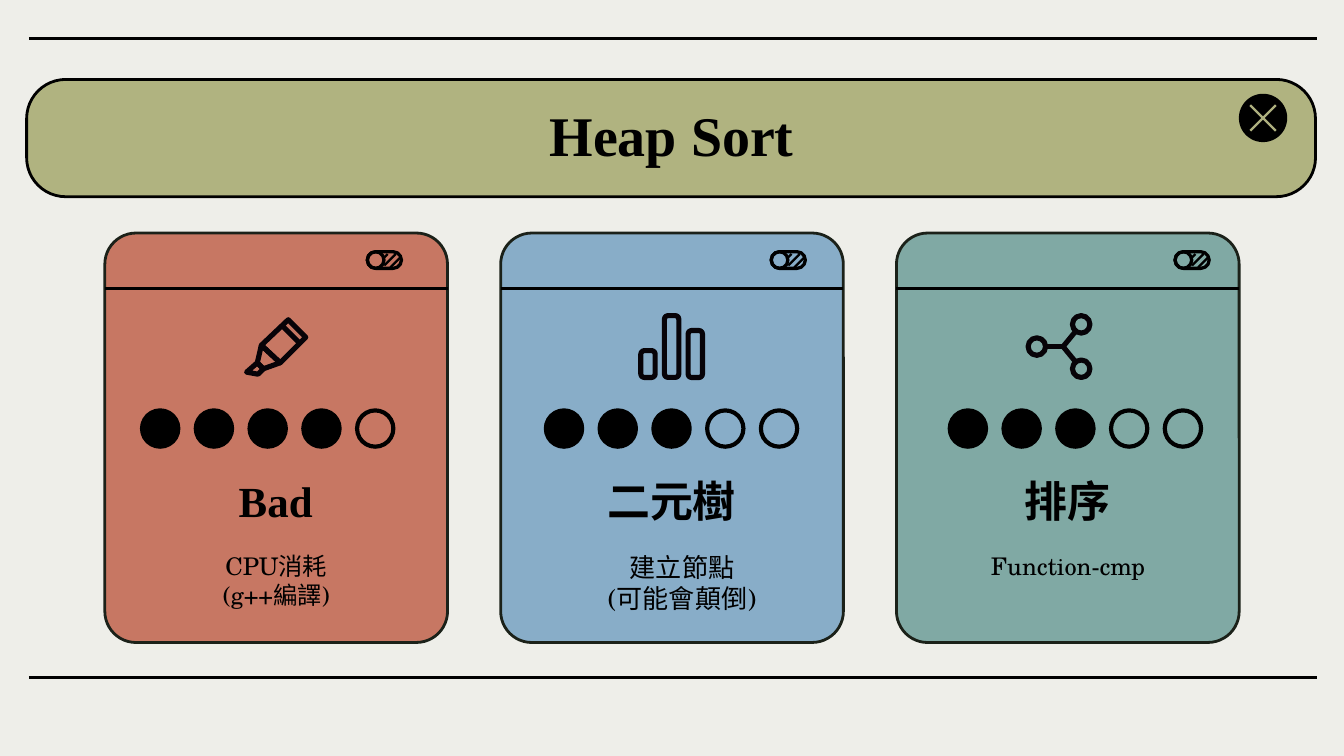
from collections import namedtuple

from lxml import etree
from pptx import Presentation
from pptx.dml.color import RGBColor
from pptx.enum.shapes import MSO_CONNECTOR, MSO_SHAPE
from pptx.enum.text import MSO_ANCHOR, PP_ALIGN
from pptx.oxml.ns import qn
from pptx.util import Inches, Pt

STRAIGHT = MSO_CONNECTOR.STRAIGHT
ROUNDED, OVAL = MSO_SHAPE.ROUNDED_RECTANGLE, MSO_SHAPE.OVAL
TOP, MIDDLE = MSO_ANCHOR.TOP, MSO_ANCHOR.MIDDLE
CENTER = PP_ALIGN.CENTER

PAPER = RGBColor(0xEE, 0xEE, 0xE9)
BLACK = RGBColor(0, 0, 0)
EDGE = RGBColor(0x1B, 0x21, 0x19)
ICON = RGBColor(0x07, 0x03, 0x08)
OLIVE = RGBColor(0xB0, 0xB3, 0x80)
CROSS = RGBColor(0xAD, 0xAF, 0x7E)
RED = RGBColor(0xC7, 0x77, 0x63)
BLUE = RGBColor(0x88, 0xAD, 0xC8)
GREEN = RGBColor(0x80, 0xA9, 0xA4)

SERIF, SCHOLA = "Times New Roman", "TeX Gyre Schola"
WIDTH = Inches(10)
HEIGHT = WIDTH * 9 // 16
COLUMN = WIDTH // 100
ICON_STROKE = 2.75

Box = namedtuple("Box", "x y w h")
Card = namedtuple("Card", "color score heading details size indent icon icon_left")


def within(box, x, y, w, h):
    return Box(box.x + x, box.y + y, w, h)


def grid(*lengths):
    return [round(length * COLUMN) for length in lengths]


def paint(shape, fill, line, weight):
    shape.shadow.inherit = False
    if fill is None:
        shape.fill.background()
    else:
        shape.fill.solid()
        shape.fill.fore_color.rgb = fill
    if line is None:
        shape.line.fill.background()
    else:
        shape.line.color.rgb = line
        shape.line.width = Pt(weight)


def add_outline(slide, kind, box, fill=None, line=BLACK, weight=1.5, corner=None):
    shape = slide.shapes.add_shape(kind, *grid(*box))
    if corner is not None:
        shape.adjustments[0] = corner
    paint(shape, fill, line, weight)


def add_rule(slide, box, start, end, color=BLACK, weight=1.5):
    ends = grid(box.x + start[0], box.y + start[1], box.x + end[0], box.y + end[1])
    rule = slide.shapes.add_connector(STRAIGHT, *ends)
    rule.line.color.rgb = color
    rule.line.width = Pt(weight)
    etree.SubElement(rule._element.spPr, qn("a:effectLst"))


def add_text(slide, box, text, font=SERIF, size=23, bold=False, anchor=MIDDLE,
             spacing=None, indent=False):
    frame = slide.shapes.add_textbox(*grid(*box)).text_frame
    frame.word_wrap = True
    frame.vertical_anchor = anchor
    frame.margin_left = frame.margin_right = Inches(0.1)
    frame.margin_top = frame.margin_bottom = Inches(0.1)
    frame.text = text
    for paragraph in frame.paragraphs:
        paragraph.alignment = CENTER
        if spacing:
            paragraph.line_spacing = spacing
        if indent:
            properties = paragraph._p.get_or_add_pPr()
            properties.set("marL", str(Inches(0.5)))
            properties.set("indent", str(Inches(-0.35)))
        for run in paragraph.runs:
            run.font.name = font
            run.font.size = Pt(size)
            run.font.bold = bold
            run.font.color.rgb = BLACK


def draw_marker(slide, box):
    body = [(3.4, 0.5), (4.7, 1.8), (2.8, 3.7), (1.4, 2.4)]
    neck = [(1.4, 2.4), (1.1, 3.7), (1.55, 4.15), (2.8, 3.7)]
    tip = [(1.1, 3.7), (0.3, 4.4), (1.15, 4.55), (1.55, 4.15)]
    cap = [(2.95, 0.95), (4.2, 2.2)]
    builder = None
    for outline in (body, neck, tip, cap):
        points = [grid(box.x + x, box.y + y) for x, y in outline]
        if builder is None:
            builder = slide.shapes.build_freeform(*points[0])
        else:
            builder.move_to(*points[0])
        builder.add_line_segments(points[1:], close=outline is not cap)
    marker = builder.convert_to_shape()
    paint(marker, None, ICON, ICON_STROKE)
    etree.SubElement(marker.line._get_or_add_ln(), qn("a:round"))


def draw_bars(slide, box):
    for index, top in enumerate((2.8, 0.2, 1.3)):
        bar = within(box, 0.2 + index * 1.76, top, 1.07, 4.8 - top)
        add_outline(slide, ROUNDED, bar, line=ICON, weight=ICON_STROKE, corner=0.25)


def draw_branches(slide, box):
    fork = (2.8, 2.5)
    for end in ((1.5, 2.5), (3.7, 1.4), (3.7, 3.6)):
        add_rule(slide, box, fork, end, ICON, ICON_STROKE)
    for x, y in ((3.5, 0.2), (0.2, 1.85), (3.5, 3.5)):
        add_outline(slide, OVAL, within(box, x, y, 1.3, 1.3), line=ICON, weight=ICON_STROKE)


def draw_toggle(slide, box):
    inset, knob = 0.13, box.h - 0.26
    for width in (box.w - 2 * inset, knob):
        add_outline(slide, ROUNDED, within(box, inset, inset, width, knob),
                    weight=1.75, corner=0.5)
    for start, end in (((1.65, 0.3), (1.35, 0.6)), ((2.25, 0.3), (1.4, 1.15)),
                       ((2.55, 0.6), (1.85, 1.3))):
        add_rule(slide, box, start, end, weight=1.25)


def draw_score(slide, box, score):
    for index in range(5):
        dot = within(box, index * 4, 0, box.h, box.h)
        add_outline(slide, OVAL, dot, BLACK if index < score else None, weight=2.25)


def draw_card(slide, box, card, drift):
    add_outline(slide, ROUNDED, box, card.color, EDGE, corner=0.091)
    add_rule(slide, box, (0, 4.13), (box.w, 4.13))
    draw_toggle(slide, within(box, 19.4 + drift, 1.26, 2.8, 1.5))
    card.icon(slide, within(box, card.icon_left, 5.95, 5, 5))
    draw_score(slide, within(box, 2.77 + drift, 13.2, 18.7, 2.7), card.score)
    add_text(slide, within(box, 0.62, 17.68, 24.2, 4.4), card.heading, bold=True)
    add_text(slide, within(box, 0.65, 22.67, 24.2, 6.3), card.details, font=SCHOLA,
             size=card.size, anchor=TOP, indent=card.indent)


def draw_banner(slide, box):
    add_outline(slide, ROUNDED, box, OLIVE, corner=0.334)
    close = within(box, box.w - 5.7, 1.07, 3.6, 3.6)
    add_outline(slide, OVAL, close, BLACK, None)
    add_rule(slide, close, (0.85, 0.85), (2.75, 2.75), CROSS, 1.25)
    add_rule(slide, close, (0.85, 2.75), (2.75, 0.85), CROSS, 1.25)
    add_text(slide, within(box, 5.8, 1.6, 84.4, 6.2), "Heap Sort", size=30,
             bold=True, spacing=0.7)


def draw_frame(slide, box):
    for y in (0, box.h):
        add_rule(slide, box, (0, y), (box.w, y))


def main():
    deck = Presentation()
    deck.slide_width, deck.slide_height = WIDTH, HEIGHT
    slide = deck.slides.add_slide(deck.slide_layouts[6])
    slide.background.fill.solid()
    slide.background.fill.fore_color.rgb = PAPER
    draw_banner(slide, Box(1.98, 5.91, 95.9, 8.73))
    draw_frame(slide, Box(2.15, 2.86, 95.85, 47.54))
    cards = [
        Card(RED, 4, "Bad", "CPU消耗\n(g++編譯)", 13, False, draw_marker, 10.25),
        Card(BLUE, 3, "二元樹", "建立節點\n(可能會顛倒)", 14, True, draw_bars, 10.23),
        Card(GREEN, 3, "排序", "Function-cmp", 13, False, draw_branches, 9.6),
    ]
    for index, card in enumerate(cards):
        draw_card(slide, Box(7.8 + index * 29.45, 17.34, 25.5, 30.47), card, index * 0.6)
    deck.save("out.pptx")


if __name__ == "__main__":
    main()
